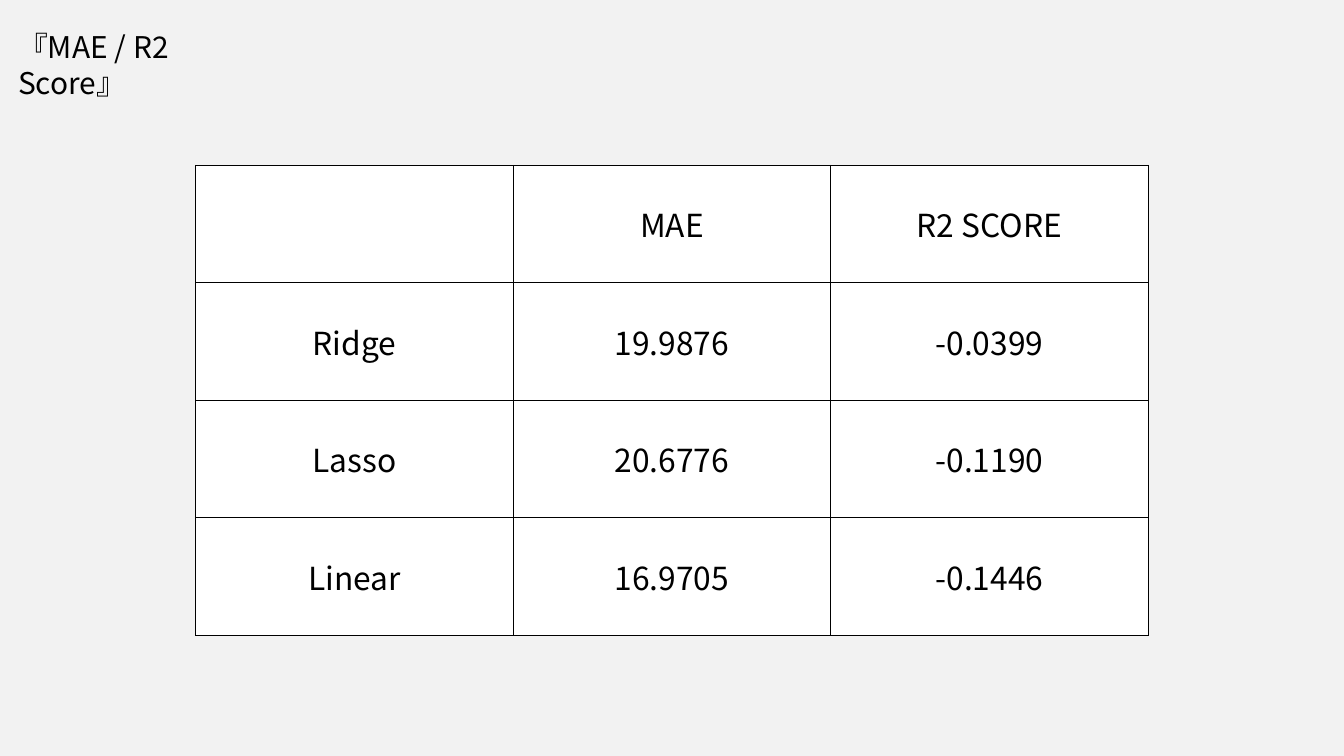
import pptx
import pptx.dml.color
import pptx.enum.text
import pptx.oxml
import pptx.oxml.ns
import pptx.util
from pptx.util import Cm

HEADING = "『MAE / R2 Score』"
SCORES = [
    ("", "MAE", "R2 SCORE"),
    ("Ridge", "19.9876", "-0.0399"),
    ("Lasso", "20.6776", "-0.1190"),
    ("Linear", "16.9705", "-0.1446"),
]
THEME = {
    "font": "Noto Sans CJK KR",
    "heading_size": 32,
    "score_size": 34,
    "ink": "000000",
    "page": "F2F2F2",
    "cell": "FFFFFF",
    "border_width": 1,
}
SLIDE_WIDTH, SLIDE_HEIGHT = Cm(50.8), Cm(28.58)
COLUMN_WIDTH, ROW_HEIGHT = Cm(12), Cm(4.44)
SCORES_TOP = Cm(6.25)


def color(name):
    return pptx.dml.color.RGBColor.from_string(THEME[name])


def paint(fill, name):
    fill.solid()
    fill.fore_color.rgb = color(name)


def style(paragraph, size, alignment):
    paragraph.alignment = alignment
    paragraph.font.name = THEME["font"]
    paragraph.font.size = pptx.util.Pt(THEME[size])
    paragraph.font.color.rgb = color("ink")


def outline(cell):
    properties = cell._tc.get_or_add_tcPr()
    width = pptx.util.Pt(THEME["border_width"])
    for position, side in enumerate(("lnL", "lnR", "lnT", "lnB")):
        border = pptx.oxml.parse_xml(
            f'<a:{side} {pptx.oxml.ns.nsdecls("a")} w="{width}"><a:solidFill>'
            f'<a:srgbClr val="{THEME["ink"]}"/></a:solidFill></a:{side}>'
        )
        properties.insert(position, border)


def add_heading(slide):
    heading = slide.shapes.title
    heading.left, heading.top = Cm(0.43), Cm(0.97)
    heading.width, heading.height = Cm(11), Cm(1.63)
    frame = heading.text_frame
    frame.text = HEADING
    frame.word_wrap = True
    frame.auto_size = pptx.enum.text.MSO_AUTO_SIZE.SHAPE_TO_FIT_TEXT
    frame.vertical_anchor = pptx.enum.text.MSO_ANCHOR.TOP
    frame.margin_right = Cm(1)
    style(frame.paragraphs[0], "heading_size", pptx.enum.text.PP_ALIGN.LEFT)


def add_scores(slide):
    rows, columns = len(SCORES), len(SCORES[0])
    width, height = COLUMN_WIDTH * columns, ROW_HEIGHT * rows
    left = (SLIDE_WIDTH - width) // 2
    scores = slide.shapes.add_table(rows, columns, left, SCORES_TOP, width, height).table
    scores.first_row = scores.horz_banding = False
    for r, record in enumerate(SCORES):
        for c, value in enumerate(record):
            cell = scores.cell(r, c)
            cell.text = value
            cell.vertical_anchor = pptx.enum.text.MSO_ANCHOR.MIDDLE
            paint(cell.fill, "cell")
            outline(cell)
            style(cell.text_frame.paragraphs[0], "score_size", pptx.enum.text.PP_ALIGN.CENTER)


def main():
    deck = pptx.Presentation()
    deck.slide_width, deck.slide_height = SLIDE_WIDTH, SLIDE_HEIGHT
    slide = deck.slides.add_slide(deck.slide_layouts[5])
    paint(slide.background.fill, "page")
    add_heading(slide)
    add_scores(slide)
    deck.save("out.pptx")


if __name__ == "__main__":
    main()
